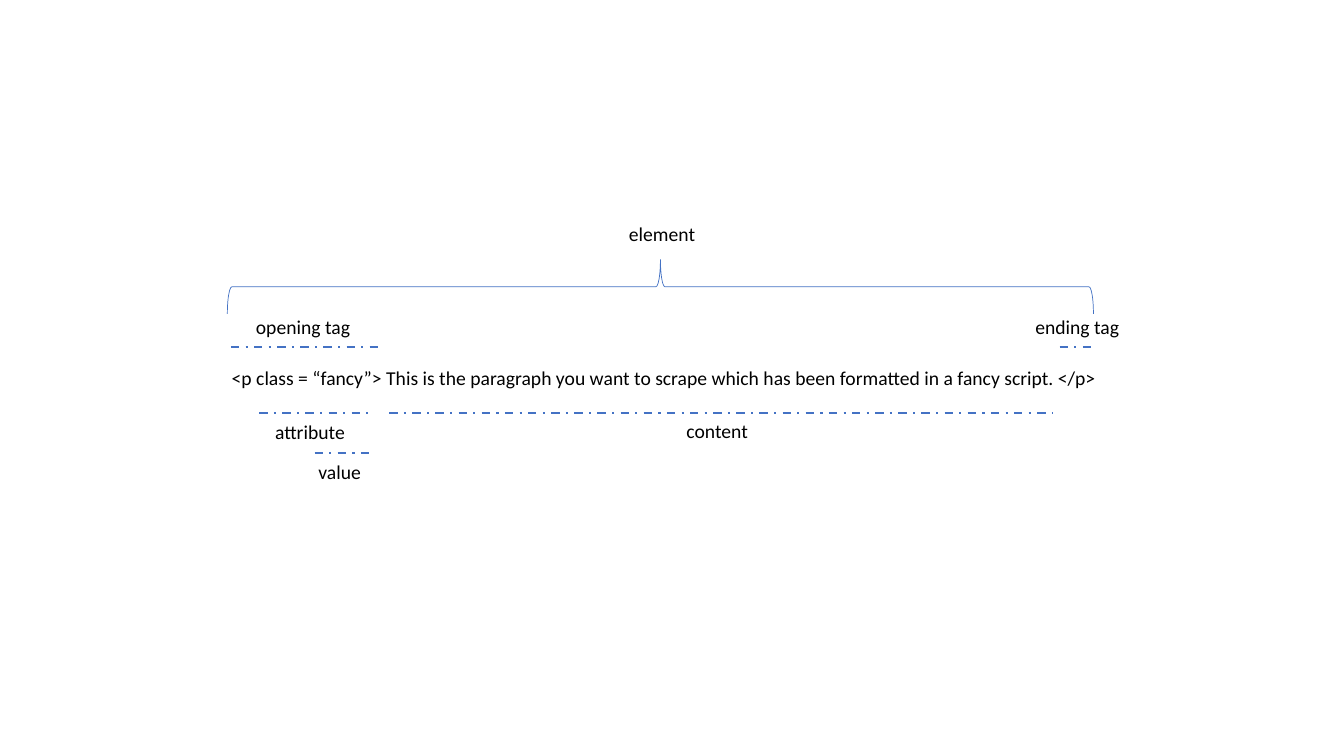
"""Build a slide that labels the parts of an HTML element."""
from lxml import etree
from pptx import Presentation
from pptx.dml.color import RGBColor
from pptx.enum.dml import MSO_LINE
from pptx.enum.shapes import MSO_CONNECTOR, MSO_SHAPE
from pptx.enum.text import MSO_AUTO_SIZE
from pptx.oxml.ns import qn
from pptx.util import Inches, Pt

COLORS = {"text": "000000", "accent": "4472C4"}
FONT, FONT_SIZE, TEXT_HEIGHT = "Calibri", 14, 0.34
CODE = "<p class = “fancy”> This is the paragraph you want to scrape which has been formatted in a fancy script. </p>"
TAG_Y, CONTENT_Y, VALUE_Y = 3.44, 4.1, 4.49

TEXTS = [
    (CODE, 2.2, 3.58, 8.93),
    ("element", 6.14, 2.15, 0.94),
    ("opening tag", 2.44, 3.08, 1.16),
    ("ending tag", 10.17, 3.08, 1.16),
    ("content", 6.71, 4.11, 0.89),
    ("attribute", 2.63, 4.12, 0.97),
    ("value", 3.06, 4.51, 0.7),
]
MARKERS = [
    (2.29, 3.75, TAG_Y),
    (10.51, 10.88, TAG_Y),
    (2.57, 3.66, CONTENT_Y),
    (3.86, 10.44, CONTENT_Y),
    (3.12, 3.67, VALUE_Y),
]
ELEMENT_BRACE = (6.28, -1.45, 0.54, 8.59)


def style_line(line, width):
    line.color.rgb = RGBColor.from_string(COLORS["accent"])
    line.width = Pt(width)


def add_text(slide, text, left, top, width):
    box = slide.shapes.add_textbox(*map(Inches, (left, top, width, TEXT_HEIGHT)))
    frame = box.text_frame
    frame.word_wrap = True
    frame.auto_size = MSO_AUTO_SIZE.SHAPE_TO_FIT_TEXT
    run = frame.paragraphs[0].add_run()
    run.text = text
    run.font.name, run.font.size = FONT, Pt(FONT_SIZE)
    run.font.color.rgb = RGBColor.from_string(COLORS["text"])


def add_marker(slide, start, end, y):
    marker = slide.shapes.add_connector(MSO_CONNECTOR.STRAIGHT, *map(Inches, (start, y, end, y)))
    style_line(marker.line, 1.5)
    marker.line.dash_style = MSO_LINE.DASH_DOT
    etree.SubElement(marker._element.spPr, qn("a:effectLst"))


def add_brace(slide, box):
    brace = slide.shapes.add_shape(MSO_SHAPE.LEFT_BRACE, *map(Inches, box))
    brace.rotation = 90
    brace.shadow.inherit = False
    brace.fill.background()
    style_line(brace.line, 0.5)


prs = Presentation()
prs.slide_width, prs.slide_height = Inches(13.33), Inches(7.5)
slide = prs.slides.add_slide(prs.slide_layouts[6])
for marker in MARKERS:
    add_marker(slide, *marker)
add_brace(slide, ELEMENT_BRACE)
for text in TEXTS:
    add_text(slide, *text)
prs.save("out.pptx")
